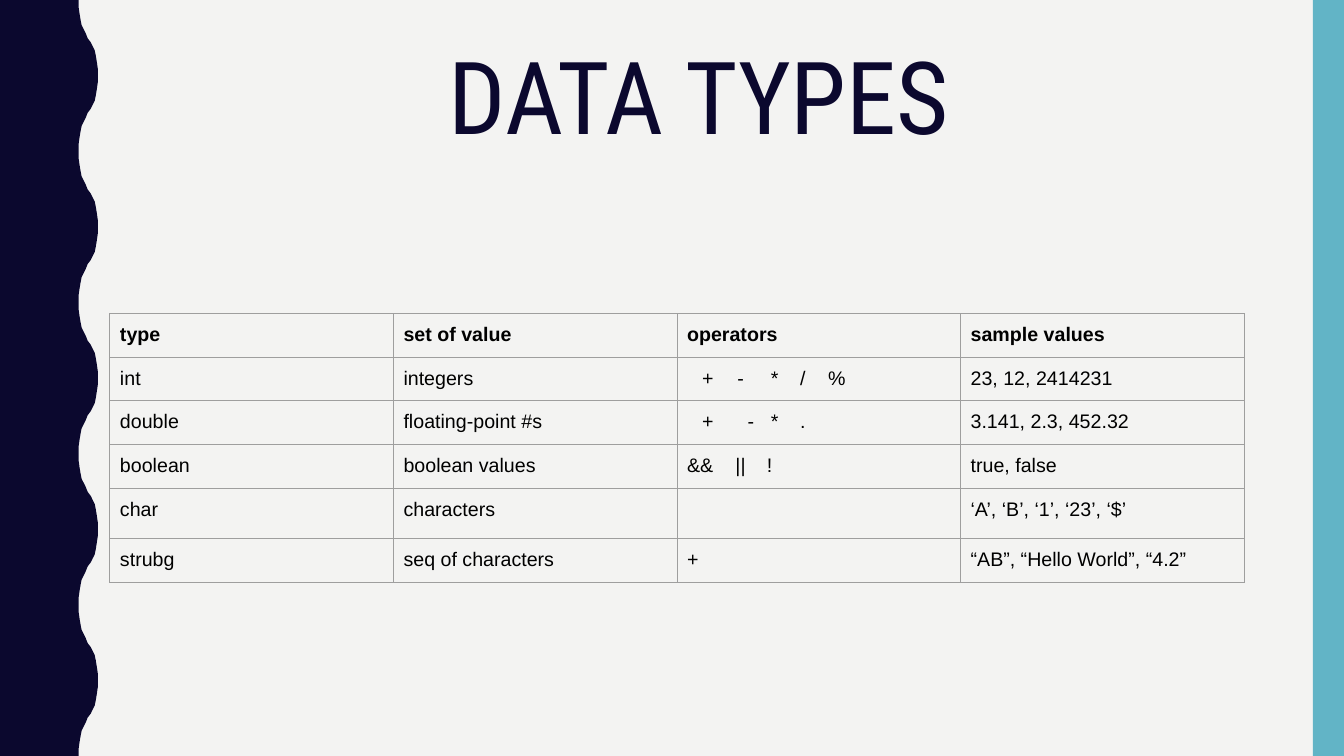
from dataclasses import dataclass

from lxml.etree import SubElement
from pptx import Presentation
from pptx.dml.color import RGBColor
from pptx.enum.shapes import MSO_SHAPE as Shape
from pptx.enum.text import MSO_ANCHOR as Anchor, PP_ALIGN as Align
from pptx.oxml.ns import qn
from pptx.util import Inches, Pt


@dataclass(frozen=True)
class Theme:
    paper: str = "F3F3F2"
    navy: str = "0B082E"
    teal: str = "62B4C6"
    grid: str = "9E9E9E"
    ink: str = "000000"
    title_font: str = "Roboto Condensed"
    body_font: str = "Arial"
    title_size: float = 72
    body_size: float = 14
    grid_width: float = 0.75


THEME = Theme()
WIDTH, HEIGHT = 13.33, 7.5

# First half of one wave crest: (distance down, distance out).
WAVE_RISE = [(0, 0), (0.07, 0), (0.14, 0.01), (0.2, 0.02), (0.25, 0.03),
             (0.29, 0.05), (0.33, 0.07), (0.38, 0.09)]
WAVE_DEPTH, WAVE_HALF, WAVES = 0.19, 0.75, 5

ROWS = [
    ["type", "set of value", "operators", "sample values"],
    ["int", "integers", "-\t*\t/\t%", "23, 12, 2414231"],
    ["double", "floating-point #s", "-\t*\t.", "3.141, 2.3, 452.32"],
    ["boolean", "boolean values", "&&\t||\t!", "true, false"],
    ["char", "characters", "", "‘A’, ‘B’, ‘1’, ‘23’, ‘$’"],
    ["strubg", "seq of characters", "+", "“AB”, “Hello World”, “4.2”"],
]
OPERATOR_COL = 2
ROW_HEIGHT, CHAR_ROW_HEIGHT = 0.42, 0.48
PLUS_INDENT = 0.15
# Per row: text indent after the "+" bullet (None for no bullet), tab stops.
OPERATOR_STOPS = {
    1: (0.5, [0.83, 1.12, 1.4]),
    2: (0.6, [0.83, 1.12]),
    3: (None, [0.48, 0.79]),
}


def rgb(color):
    return RGBColor.from_string(color)


def write(tf, text, *, font, size, color, bold=False, align=Align.LEFT, spacing=None):
    p = tf.paragraphs[0]
    p.alignment = align
    if spacing:
        p.line_spacing = spacing
    r = p.add_run()
    r.text = text
    r.font.name, r.font.size, r.font.bold = font, Pt(size), bold
    r.font.color.rgb = rgb(color)
    return p


def paint(sp, color):
    sp.shadow.inherit = False
    sp.fill.solid()
    sp.fill.fore_color.rgb = rgb(color)
    sp.line.fill.background()


def add_wavy_band(s, x, y, w, h):
    """Band whose right edge swings between w - WAVE_DEPTH and w."""
    fall = [(WAVE_HALF - dy, WAVE_DEPTH - dx) for dy, dx in reversed(WAVE_RISE)]
    half = WAVE_RISE + fall[1:]
    wave = half + [(2 * WAVE_HALF - dy, dx) for dy, dx in reversed(half[:-1])]
    inner = x + w - WAVE_DEPTH
    edge = [(Inches(inner + dx), Inches(y + n * h / WAVES + dy))
            for n in range(WAVES) for dy, dx in wave]
    band = s.shapes.build_freeform(Inches(x), Inches(y))
    band.add_line_segments(edge + [(Inches(x), Inches(y + h))], close=True)
    paint(band.convert_to_shape(), THEME.navy)


def add_side_bar(s, *box):
    paint(s.shapes.add_shape(Shape.RECTANGLE, *map(Inches, box)), THEME.teal)


def add_title(s, text, *box):
    tf = s.shapes.add_textbox(*map(Inches, box)).text_frame
    tf.word_wrap = True
    tf.vertical_anchor = Anchor.TOP
    write(tf, text, font=THEME.title_font, size=THEME.title_size,
          color=THEME.navy, align=Align.CENTER, spacing=0.9)


def add_borders(cell):
    tc_pr = cell._tc.get_or_add_tcPr()
    for n, side in enumerate(("lnL", "lnR", "lnT", "lnB")):
        ln = tc_pr.makeelement(qn(f"a:{side}"), {"w": str(Pt(THEME.grid_width))})
        fill = SubElement(ln, qn("a:solidFill"))
        SubElement(fill, qn("a:srgbClr"), val=THEME.grid)
        tc_pr.insert(n, ln)


def space_operators(p, indent, stops):
    """Set tab stops and, when an indent is given, a hanging "+" bullet."""
    p_pr = p._p.get_or_add_pPr()
    if indent:
        p_pr.set("marL", str(Inches(indent)))
        p_pr.set("indent", str(Inches(PLUS_INDENT - indent)))
        color = SubElement(p_pr, qn("a:buClr"))
        SubElement(color, qn("a:srgbClr"), val=THEME.ink)
        SubElement(p_pr, qn("a:buFont"), typeface=THEME.body_font)
        SubElement(p_pr, qn("a:buChar"), char="+")
    tabs = SubElement(p_pr, qn("a:tabLst"))
    for stop in stops:
        SubElement(tabs, qn("a:tab"), pos=str(Inches(stop)), algn="l")


def add_type_table(s, x, y, w):
    heights = [ROW_HEIGHT if row[OPERATOR_COL] else CHAR_ROW_HEIGHT for row in ROWS]
    cols = len(ROWS[0])
    frame = s.shapes.add_table(len(ROWS), cols, Inches(x), Inches(y),
                               Inches(w), Inches(sum(heights)))
    table = frame.table
    table.first_row = table.horz_banding = False
    for col in table.columns:
        col.width = Inches(w / cols)
    for i, row in enumerate(ROWS):
        table.rows[i].height = Inches(heights[i])
        for j, text in enumerate(row):
            cell = table.cell(i, j)
            cell.margin_left = cell.margin_right = Inches(0.1)
            cell.margin_top = cell.margin_bottom = Inches(0.1)
            cell.fill.background()
            add_borders(cell)
            if not text:
                continue
            p = write(cell.text_frame, text, font=THEME.body_font,
                      size=THEME.body_size, color=THEME.ink, bold=i == 0)
            if j == OPERATOR_COL and i in OPERATOR_STOPS:
                space_operators(p, *OPERATOR_STOPS[i])


def main():
    prs = Presentation()
    prs.slide_width, prs.slide_height = Inches(WIDTH), Inches(HEIGHT)
    s = prs.slides.add_slide(prs.slide_layouts[6])
    s.background.fill.solid()
    s.background.fill.fore_color.rgb = rgb(THEME.paper)
    add_wavy_band(s, 0, 0, 0.97, HEIGHT)
    add_side_bar(s, WIDTH - 0.31, 0, 0.31, HEIGHT)
    add_title(s, "DATA TYPES", 1.37, 0.42, 11.13, 1.63)
    add_type_table(s, 1.09, 3.11, 11.25)
    prs.save("out.pptx")


if __name__ == "__main__":
    main()
